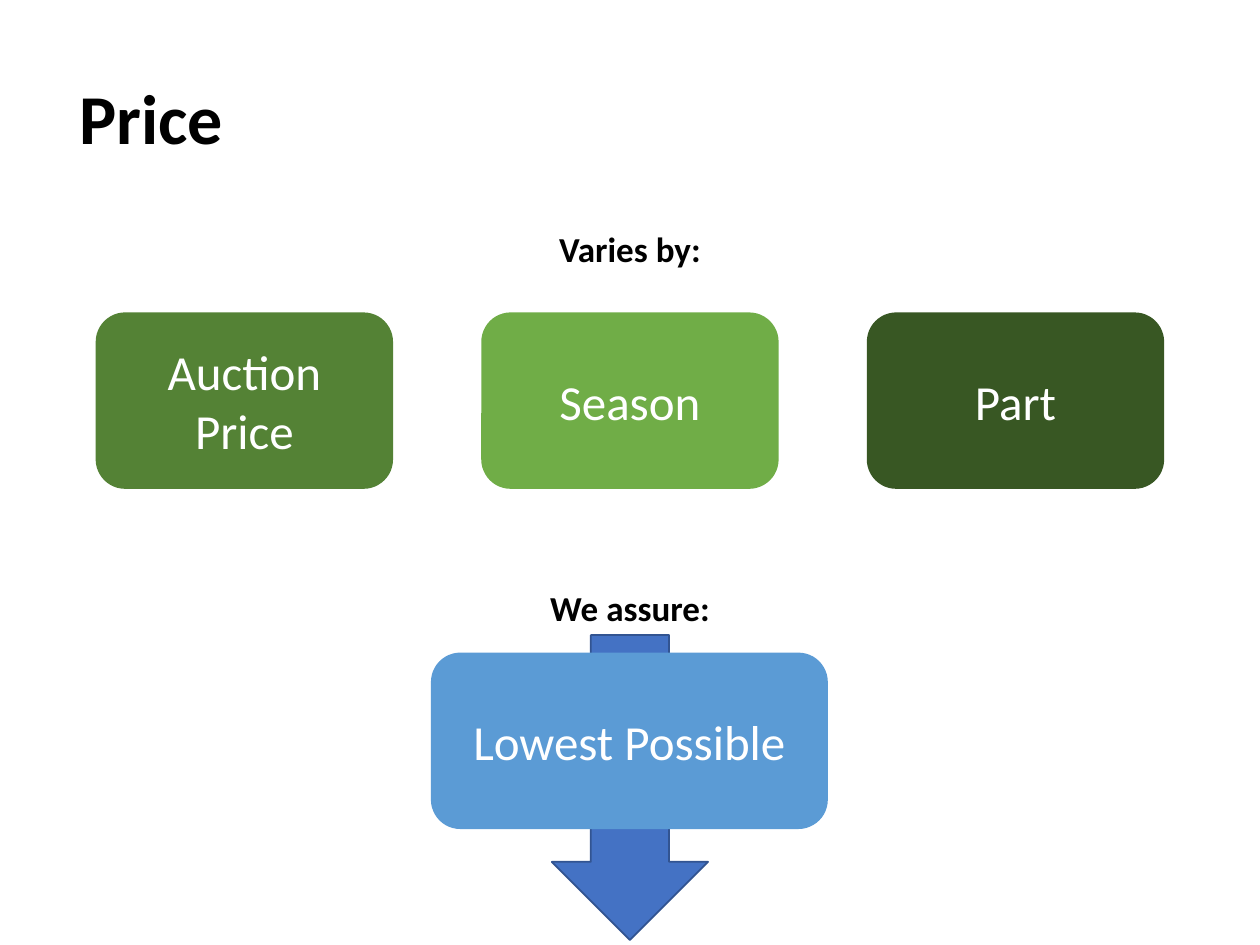
from dataclasses import dataclass

from pptx import Presentation
from pptx.dml.color import RGBColor
from pptx.enum.shapes import MSO_SHAPE as Shape
from pptx.enum.text import MSO_ANCHOR as Anchor, PP_ALIGN as Align
from pptx.util import Inches, Pt


@dataclass(frozen=True)
class Theme:
    font: str = "Calibri"
    title: int = 40
    label: int = 20
    card: int = 28
    ink: str = "000000"
    white: str = "FFFFFF"
    arrow: str = "4472C4"
    edge: str = "325491"
    promise: str = "5B9BD5"


THEME = Theme()
FACTORS = [("Auction Price", "548235"), ("Season", "70AD47"), ("Part", "385723")]


def color(value):
    return RGBColor.from_string(value)


def write(shape, text, size, ink, bold=False, align=Align.CENTER, wrap=True):
    frame = shape.text_frame
    frame.word_wrap = wrap
    frame.vertical_anchor = Anchor.MIDDLE
    para = frame.paragraphs[0]
    para.text = text
    para.alignment = align
    style = {"name": THEME.font, "size": Pt(size), "bold": bold}
    for key, value in style.items():
        setattr(para.font, key, value)
    para.font.color.rgb = color(ink)
    return para


def add_title(slide, text):
    box = slide.shapes.add_textbox(Inches(0.53), Inches(0.35), Inches(8.94), Inches(1.24))
    para = write(box, text, THEME.title, THEME.ink, bold=True, align=Align.LEFT)
    para.line_spacing = 0.9


def add_label(slide, text, top, width):
    """Add a bold heading centred on the slide."""
    box = slide.shapes.add_textbox(
        Inches(5 - width / 2), Inches(top), Inches(width), Inches(0.44))
    write(box, text, THEME.label, THEME.ink, bold=True, wrap=False)


def add_card(slide, text, left, top, width, fill):
    card = slide.shapes.add_shape(
        Shape.ROUNDED_RECTANGLE, Inches(left), Inches(top), Inches(width), Inches(1.4))
    card.shadow.inherit = False
    card.fill.solid()
    card.fill.fore_color.rgb = color(fill)
    card.line.fill.background()
    write(card, text, THEME.card, THEME.white)


def add_arrow(slide):
    arrow = slide.shapes.add_shape(
        Shape.DOWN_ARROW, Inches(4.38), Inches(5.04), Inches(1.24), Inches(2.42))
    arrow.shadow.inherit = False
    arrow.fill.solid()
    arrow.fill.fore_color.rgb = color(THEME.arrow)
    arrow.line.color.rgb = color(THEME.edge)
    arrow.line.width = Pt(1)


def main():
    deck = Presentation()
    deck.slide_width, deck.slide_height = Inches(10), Inches(7.5)
    slide = deck.slides.add_slide(deck.slide_layouts[6])

    add_arrow(slide)
    add_title(slide, "Price")
    add_label(slide, "Varies by:", 1.75, 1.34)
    add_card(slide, "Lowest Possible", 3.42, 5.18, 3.15, THEME.promise)
    add_label(slide, "We assure:", 4.6, 1.48)
    for i, (text, fill) in enumerate(FACTORS):
        add_card(slide, text, 0.76 + 3.06 * i, 2.48, 2.36, fill)

    deck.save("out.pptx")


if __name__ == "__main__":
    main()
